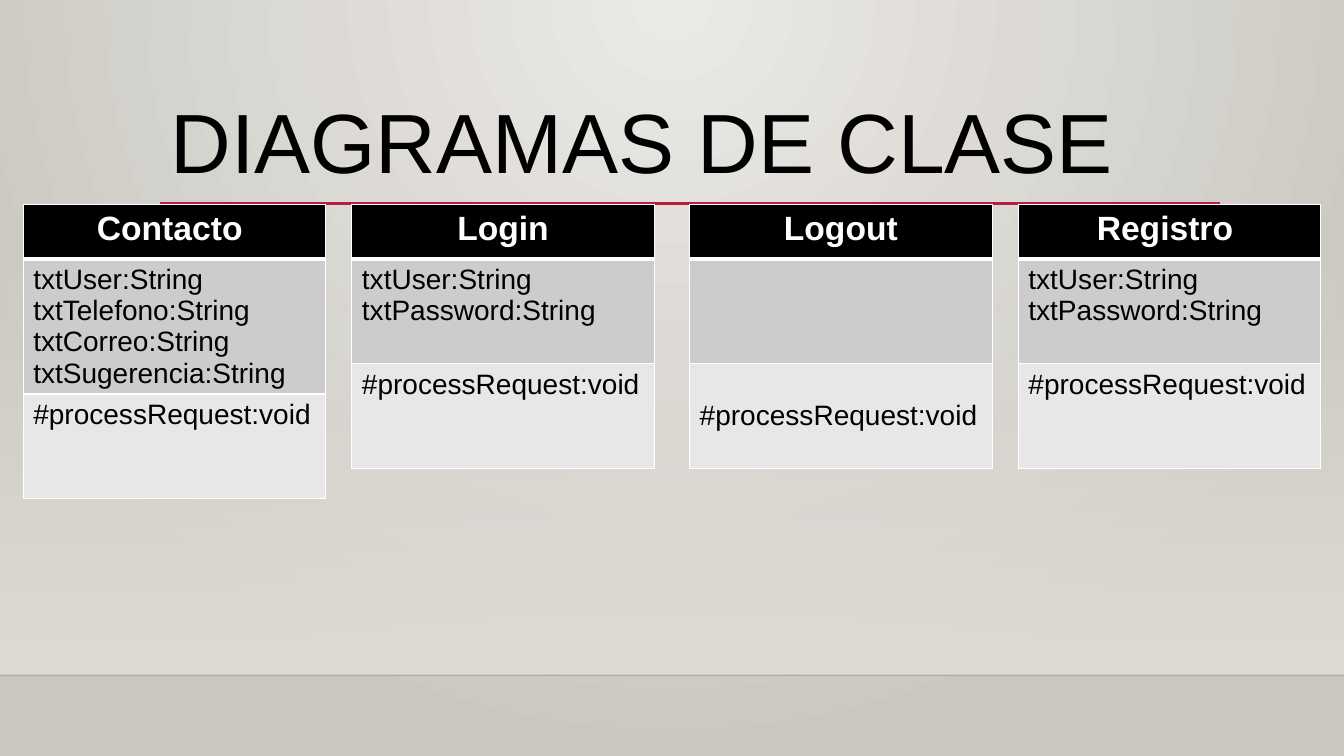
from lxml import etree
from pptx import Presentation
from pptx.dml.color import RGBColor
from pptx.enum.shapes import MSO_CONNECTOR, MSO_SHAPE
from pptx.enum.text import MSO_ANCHOR, PP_ALIGN
from pptx.oxml import parse_xml
from pptx.oxml.ns import nsdecls, qn
from pptx.util import Inches, Pt

STRAIGHT = MSO_CONNECTOR.STRAIGHT
RECTANGLE = MSO_SHAPE.RECTANGLE
MIDDLE = MSO_ANCHOR.MIDDLE
CENTER = PP_ALIGN.CENTER
LEFT = PP_ALIGN.LEFT

COLORS = {
    "glow": "ECEAE7",
    "edge": "CAC7C1",
    "floor": "DFDBD5",
    "horizon": "000001",
    "accent": "B71E42",
    "black": "000000",
    "white": "FFFFFF",
    "attributes": "CCCCCC",
    "methods": "E7E7E7",
}
FONT = "Arial"
ROW_HEIGHTS = (0.54, 1.04, 1.04)
METHOD = "#processRequest:void"
CREDENTIALS = "txtUser:String\ntxtPassword:String"
CONTACT_FIELDS = "txtUser:String\ntxtTelefono:String\ntxtCorreo:String\ntxtSugerencia:String"
CLASSES = (
    (0.23, "Contacto ", CONTACT_FIELDS, 0.05),
    (3.49, "Login", CREDENTIALS, 0.05),
    (6.84, "Logout", "", 0.36),
    (10.1, "Registro ", CREDENTIALS, 0.05),
)


class ClassSlide:
    def __init__(self, presentation):
        self.slide = presentation.slides.add_slide(presentation.slide_layouts[5])
        self.shapes = self.slide.shapes

    def color(self, name):
        return RGBColor.from_string(COLORS[name])

    def set_alpha(self, element, percent):
        alpha = etree.SubElement(element, qn("a:alpha"))
        alpha.set("val", str(percent * 1000))

    def set_gradient(self, fill, start, end):
        fill.gradient()
        for stop, name in zip(fill.gradient_stops, (start, end)):
            stop.color.rgb = self.color(name)

    def background(self):
        fill = self.slide.background.fill
        self.set_gradient(fill, "glow", "edge")
        linear = next(self.slide.element.iter(qn("a:lin")))
        linear.getparent().replace(linear, parse_xml(
            f'<a:path {nsdecls("a")} path="circle">'
            '<a:fillToRect l="43000" t="0" r="43000" b="100000"/></a:path>'))

    def fading_panel(self, left, top, width, height):
        shape = self.shapes.add_shape(
            RECTANGLE, Inches(left), Inches(top), Inches(width), Inches(height))
        shape.shadow.inherit = False
        shape.line.fill.background()
        self.set_gradient(shape.fill, "floor", "floor")
        shape.fill.gradient_angle = 270
        self.set_alpha(next(shape.element.iter(qn("a:srgbClr"))), 0)

    def rule(self, left, right, top, color, width, opacity=100):
        connector = self.shapes.add_connector(
            STRAIGHT, Inches(left), Inches(top), Inches(right), Inches(top))
        connector.line.color.rgb = self.color(color)
        connector.line.width = Pt(width)
        properties = connector.element.spPr
        if opacity < 100:
            self.set_alpha(next(properties.iter(qn("a:srgbClr"))), opacity)
        etree.SubElement(properties, qn("a:effectLst"))

    def format_text(self, text_frame, size, color, bold=False, alignment=LEFT):
        for paragraph in text_frame.paragraphs:
            paragraph.alignment = alignment
            for run in paragraph.runs:
                run.font.name = FONT
                run.font.size = Pt(size)
                run.font.bold = bold
                run.font.color.rgb = self.color(color)

    def title(self, text, left, top, width, height):
        title = self.shapes.title
        title.left, title.top = Inches(left), Inches(top)
        title.width, title.height = Inches(width), Inches(height)
        text_frame = title.text_frame
        text_frame.text = text
        text_frame.word_wrap = True
        text_frame.vertical_anchor = MIDDLE
        text_frame.paragraphs[0].line_spacing = 0.9
        self.format_text(text_frame, 60, "black")

    def borders(self, cell, top, bottom):
        properties = cell._tc.get_or_add_tcPr()
        for side, width in (("L", 1), ("R", 1), ("T", top), ("B", bottom)):
            properties.append(parse_xml(
                f'<a:ln{side} {nsdecls("a")} w="{Pt(width)}"><a:solidFill>'
                f'<a:srgbClr val="{COLORS["white"]}"/></a:solidFill></a:ln{side}>'))

    def cell(self, cell, text, fill, top=1, bottom=1, **style):
        self.borders(cell, top, bottom)
        cell.fill.solid()
        cell.fill.fore_color.rgb = self.color(fill)
        cell.text_frame.text = text
        self.format_text(cell.text_frame, **style)

    def class_table(self, left, name, attributes, method_margin):
        table = self.shapes.add_table(
            len(ROW_HEIGHTS), 1, Inches(left), Inches(2.03),
            Inches(3), Inches(sum(ROW_HEIGHTS))).table
        for row, height in zip(table.rows, ROW_HEIGHTS):
            row.height = Inches(height)
        header, fields, methods = (table.cell(row, 0) for row in range(3))
        self.cell(header, name, "black", bottom=3,
                  size=24, color="white", bold=True, alignment=CENTER)
        self.cell(fields, attributes, "attributes", top=3, size=20, color="black")
        self.cell(methods, METHOD, "methods", size=20, color="black")
        methods.margin_top = Inches(method_margin)


def main():
    presentation = Presentation()
    presentation.slide_width = Inches(13.33)
    presentation.slide_height = Inches(7.5)
    slide = ClassSlide(presentation)
    slide.background()
    slide.fading_panel(0, 2.21, 13.33, 4.49)
    slide.rule(0, 13.33, 6.7, "horizon", 1, opacity=20)
    slide.rule(1.59, 12.1, 2.02, "accent", 2.5)
    slide.title("DIAGRAMAS DE CLASE", 1.59, 0.88, 10.5, 1.15)
    for class_definition in CLASSES:
        slide.class_table(*class_definition)
    presentation.save("out.pptx")


if __name__ == "__main__":
    main()
